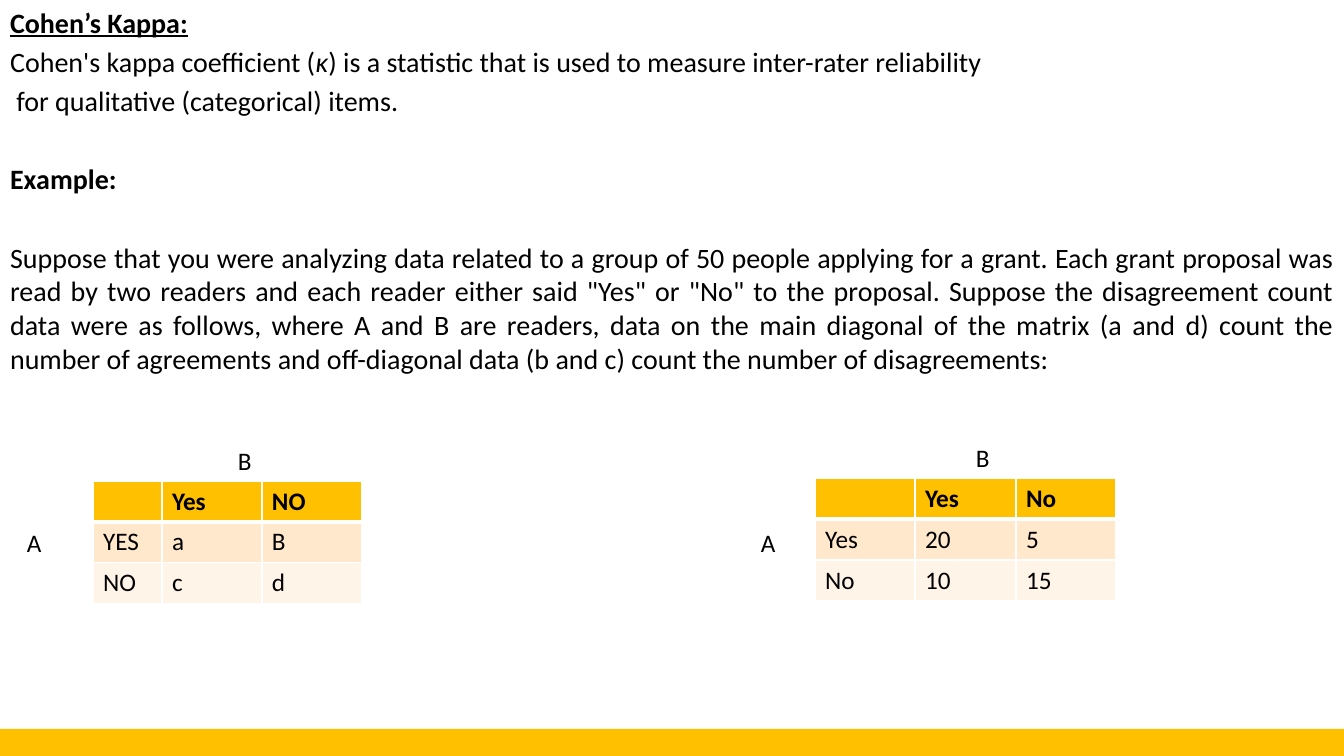
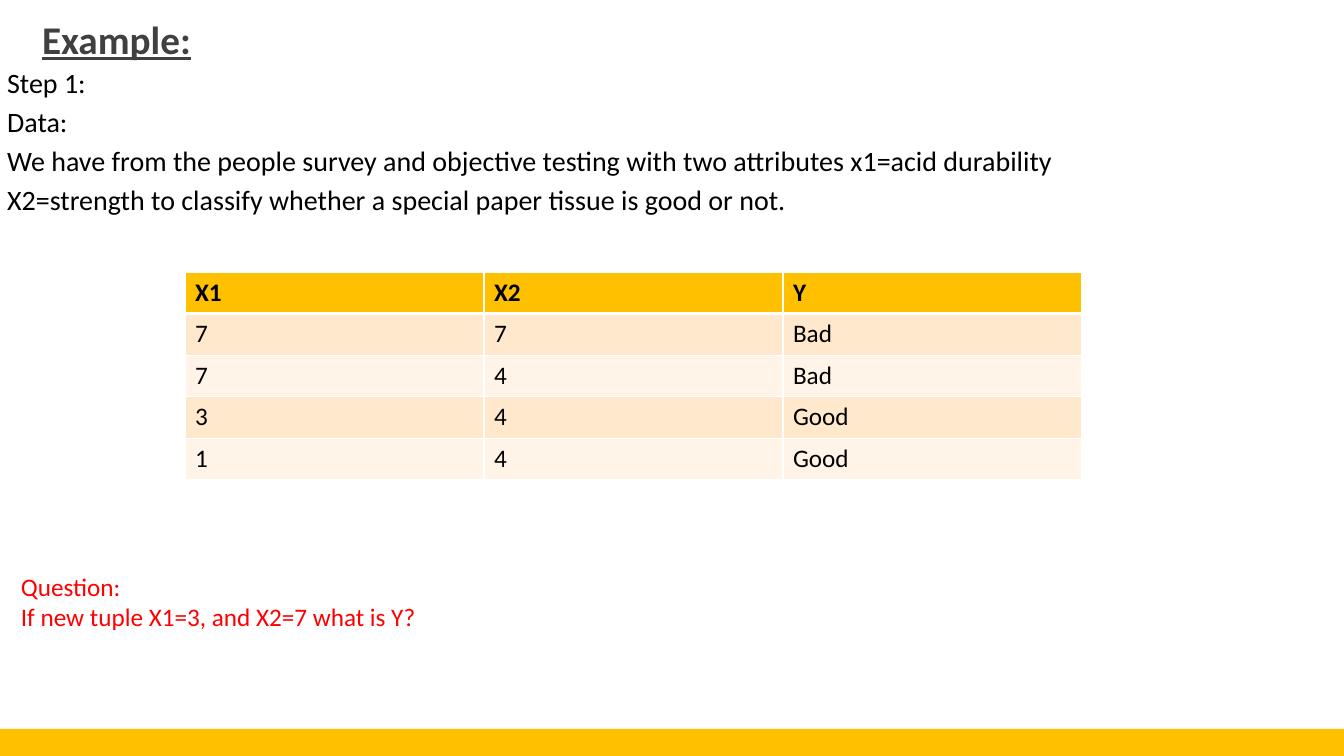
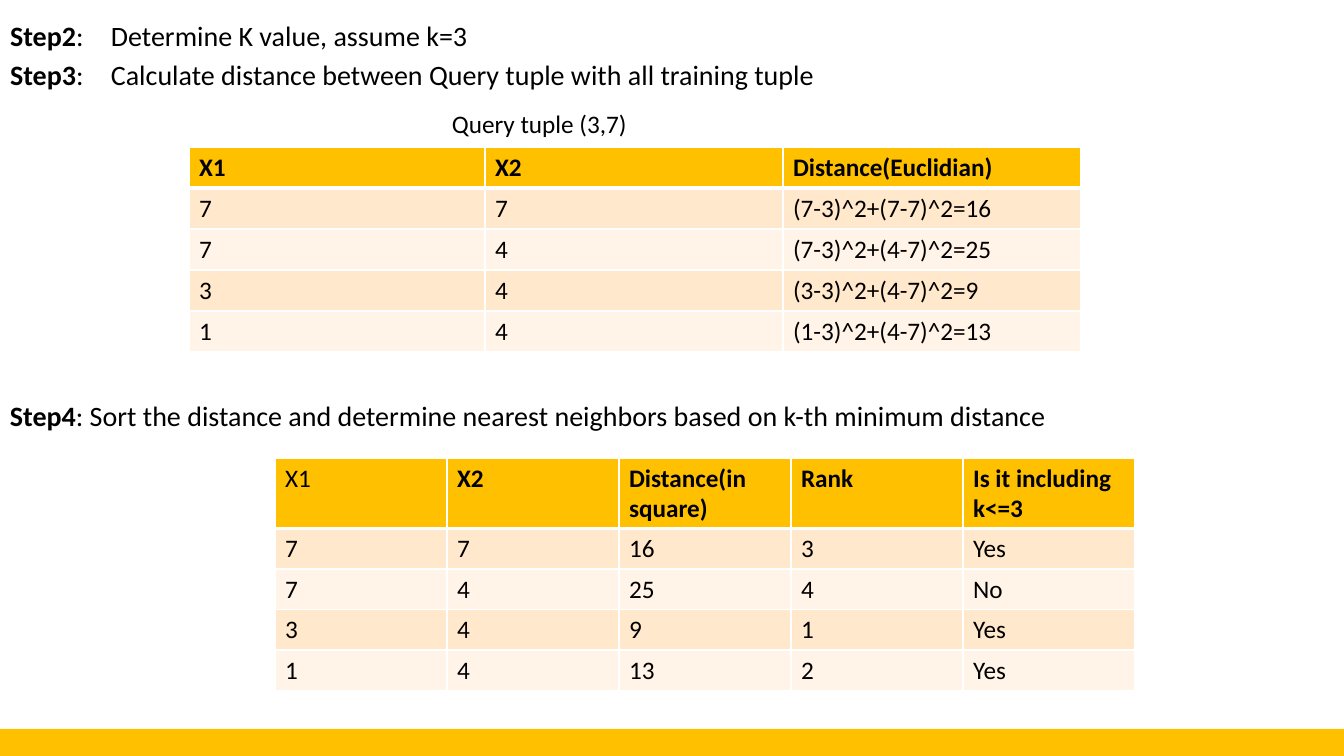
from dataclasses import dataclass
from typing import NamedTuple

from lxml.etree import SubElement
from pptx import Presentation
from pptx.dml.color import RGBColor
from pptx.enum.shapes import MSO_SHAPE
from pptx.enum.text import MSO_ANCHOR, MSO_AUTO_SIZE as AutoSize, PP_ALIGN as Align
from pptx.oxml.ns import qn
from pptx.util import Emu, Pt

PX = 12192000 / 1344  # EMU in one px


def px(length):
    return Emu(round(length * PX))


@dataclass(frozen=True)
class Theme:
    font: str = "Calibri"
    ink: str = "000000"
    heading: str = "404040"
    alert: str = "FF0000"
    accent: str = "FFC000"
    bands: tuple = ("FFE8CC", "FFF4E7")
    border: str = "FFFFFF"
    title_size: int = 28
    body_size: int = 20
    small_size: int = 18
    para_gap: int = 4
    section_gap: int = 32
    thin: int = 1
    thick: int = 3


THEME = Theme()
BOLD = {"bold": True}
UNDERLINED = {"bold": True, "underline": True}


class Box(NamedTuple):
    left: int
    top: int
    width: int
    height: int

    def shift(self, dx, dy, width, height):
        """Return a box placed relative to this one's top left corner."""
        return Box(self.left + dx, self.top + dy, width, height)

    def emu(self):
        return [px(length) for length in self]


class Para(NamedTuple):
    """Spans are (text, format) pairs; tab is a tab stop in px."""
    spans: list
    before: int = THEME.para_gap
    tab: int = 0


PAGE = Box(0, 0, 1344, 756)


def plain(text, **options):
    return Para([(text, {})], **options)


def set_all(target, values):
    for name, value in values.items():
        setattr(target, name, value)


def add_span(para, text, size, color=THEME.ink, **style):
    span = para.add_run()
    span.text = text
    set_all(span.font, {"name": THEME.font, "size": Pt(size), "bold": False, **style})
    span.font.color.rgb = RGBColor.from_string(color)


def place(shape, box):
    set_all(shape, dict(zip(("left", "top", "width", "height"), box.emu())))


def add_band(deck, page):
    """Put the footer band on the master, so that every slide shows it."""
    band = page.shapes.add_shape(MSO_SHAPE.RECTANGLE, *PAGE.shift(0, 729, 1344, 27).emu())
    band.shadow.inherit = False
    band.fill.solid()
    band.fill.fore_color.rgb = RGBColor.from_string(THEME.accent)
    band.line.fill.background()
    band.element.nvSpPr.cNvPr.set("id", "100")
    deck.slide_master.shapes.element.append(band.element)


def fill_title(page, box, text):
    title = page.shapes.title
    place(title, box)
    set_all(title.text_frame, {"word_wrap": True, "auto_size": AutoSize.NONE,
                               "vertical_anchor": MSO_ANCHOR.MIDDLE})
    para = title.text_frame.paragraphs[0]
    para.alignment = Align.JUSTIFY
    add_span(para, text, THEME.title_size, THEME.heading, **UNDERLINED)


def fill_body(page, box, paras):
    """Fill the body placeholder with justified paragraphs without bullets."""
    body = page.placeholders[1]
    place(body, box)
    frame = body.text_frame
    set_all(frame, {"word_wrap": True, "auto_size": AutoSize.NONE,
                    "vertical_anchor": MSO_ANCHOR.TOP})
    for index, item in enumerate(paras):
        para = frame.add_paragraph() if index else frame.paragraphs[0]
        set_all(para, {"alignment": Align.JUSTIFY, "space_before": Pt(item.before)})
        props = para._p.get_or_add_pPr()
        props.set("marL", "0")
        props.set("indent", "0")
        SubElement(props, qn("a:buNone"))
        if item.tab:
            stops = SubElement(props, qn("a:tabLst"))
            SubElement(stops, qn("a:tab"), pos=str(px(item.tab)), algn="l")
        for text, style in item.spans:
            add_span(para, text, THEME.body_size, **style)


def add_text(page, box, paras, size=THEME.small_size, color=THEME.ink):
    frame = page.shapes.add_textbox(*box.emu()).text_frame
    set_all(frame, {"word_wrap": True, "auto_size": AutoSize.SHAPE_TO_FIT_TEXT})
    for index, item in enumerate(paras):
        para = frame.add_paragraph() if index else frame.paragraphs[0]
        for text, style in item.spans:
            add_span(para, text, size, color, **style)


def set_borders(cell, row):
    """Draw white cell borders, thick between the header and the first row."""
    props = cell._tc.get_or_add_tcPr()
    widths = {"lnL": THEME.thin, "lnR": THEME.thin,
              "lnT": THEME.thick if row == 1 else THEME.thin,
              "lnB": THEME.thick if row == 0 else THEME.thin}
    for side, width in widths.items():
        line = SubElement(props, qn(f"a:{side}"), w=str(Pt(width)))
        fill = SubElement(line, qn("a:solidFill"))
        SubElement(fill, qn("a:srgbClr"), val=THEME.border)


def add_grid(page, box, columns, rows, header=0, light_headers=()):
    """Add a banded table; light_headers are the header texts that are not bold."""
    table = page.shapes.add_table(len(rows), len(columns), *box.emu()).table
    for column, width in zip(table.columns, columns):
        column.width = px(width)
    header = header or box.height / len(rows)
    row_height = (box.height - header) / (len(rows) - 1)
    for r, texts in enumerate(rows):
        table.rows[r].height = px(row_height if r else header)
        color = THEME.bands[(r - 1) % 2] if r else THEME.accent
        for c, text in enumerate(texts):
            cell = table.cell(r, c)
            set_borders(cell, r)
            cell.fill.solid()
            cell.fill.fore_color.rgb = RGBColor.from_string(color)
            if text:
                add_span(cell.text_frame.paragraphs[0], text, THEME.small_size,
                         bold=r == 0 and text not in light_headers)


def add_rater_matrix(page, box, columns, rows, a_box, b_box):
    """Add an agreement table with its reader names, placed relative to it."""
    add_grid(page, box, columns, rows)
    add_text(page, box.shift(*a_box), [plain("A")])
    add_text(page, box.shift(*b_box), [plain("B")])


def new_page(deck, title=None):
    page = deck.slides.add_slide(deck.slide_layouts[1])
    if title:
        fill_title(page, PAGE.shift(32, 7, 923, 64), title)
    else:
        heading = page.shapes.title.element
        heading.getparent().remove(heading)
    return page


def build_kappa(deck):
    page = new_page(deck)
    fill_body(page, PAGE.shift(0, 0, 1344, 727), [
        Para([("Cohen’s Kappa:", UNDERLINED)]),
        Para([("Cohen's kappa coefficient (", {}), ("κ", {"italic": True}),
              (") is a statistic that is used to measure inter-rater reliability", {})]),
        plain(" for qualitative (categorical) items."),
        Para([("Example:", BOLD)], before=THEME.section_gap),
        plain("Suppose that you were analyzing data related to a group of 50 people "
              "applying for a grant. Each grant proposal was read by two readers and "
              "each reader either said \"Yes\" or \"No\" to the proposal. Suppose the "
              "disagreement count data were as follows, where A and B are readers, data "
              "on the main diagonal of the matrix (a and d) count the number of "
              "agreements and off-diagonal data (b and c) count the number of "
              "disagreements:", before=THEME.section_gap),
    ])
    add_rater_matrix(page, PAGE.shift(93, 481, 269, 122), [69, 100, 100],
                     [("", "Yes", "NO"), ("YES", "a", "B"), ("NO", "c", "d")],
                     (-76, 41, 101, 40), (135, -41, 135, 40))
    add_rater_matrix(page, PAGE.shift(815, 478, 301, 123), [100, 101, 100],
                     [("", "Yes", "No"), ("Yes", "20", "5"), ("No", "10", "15")],
                     (-64, 44, 43, 40), (151, -41, 64, 40))


POINTS = [("7", "7"), ("7", "4"), ("3", "4"), ("1", "4")]


def with_points(header, *extra):
    """Return table rows: X1 and X2 of each point, then its extra columns."""
    return [("X1", "X2", *header)] + [
        point + values for point, values in zip(POINTS, zip(*extra))]


def build_data(deck):
    page = new_page(deck, "Example:")
    fill_body(page, PAGE.shift(-3, 60, 1334, 666), [plain(text) for text in (
        "Step 1:",
        "Data:",
        "We have from the people survey and objective testing with two attributes "
        "x1=acid durability",
        "X2=strength to classify whether a special paper tissue is good or not.",
    )])
    add_grid(page, PAGE.shift(185, 272, 897, 208), [299] * 3,
             with_points(["Y"], ["Bad", "Bad", "Good", "Good"]))
    add_text(page, PAGE.shift(11, 566, 852, 73),
             [plain("Question:"), plain("If new tuple X1=3, and X2=7 what is Y?")],
             color=THEME.alert)


def build_distances(deck):
    page = new_page(deck)
    fill_body(page, PAGE.shift(0, 13, 1270, 612), [
        Para([("Step2", BOLD), (":\tDetermine K value, assume k=3", {})], tab=124),
        Para([("Step3", BOLD),
              (":\tCalculate distance between Query tuple with all training tuple", {})],
             tab=118),
    ])
    add_grid(page, PAGE.shift(189, 147, 892, 205), [296, 298, 298],
             with_points(["Distance(Euclidian)"],
                         ["(7-3)^2+(7-7)^2=16", "(7-3)^2+(4-7)^2=25",
                          "(3-3)^2+(4-7)^2=9", "(1-3)^2+(4-7)^2=13"]))
    add_text(page, PAGE.shift(442, 103, 482, 40), [plain("Query tuple (3,7)")])
    add_text(page, PAGE.shift(0, 394, 1104, 44), [
        Para([("Step4", BOLD), (": Sort the distance and determine nearest neighbors "
                                "based on k-th minimum distance", {})])],
             size=THEME.body_size)
    add_grid(page, PAGE.shift(275, 458, 860, 232), [172] * 5,
             with_points(["Distance(in square)", "Rank", "Is it including k<=3"],
                         ["16", "25", "9", "13"], ["3", "4", "1", "2"],
                         ["Yes", "No", "Yes", "Yes"]),
             header=70, light_headers=("X1",))


def main():
    deck = Presentation()
    set_all(deck, {"slide_width": px(PAGE.width), "slide_height": px(PAGE.height)})
    for build in (build_kappa, build_data, build_distances):
        build(deck)
    add_band(deck, deck.slides[0])
    deck.save("out.pptx")


if __name__ == "__main__":
    main()
